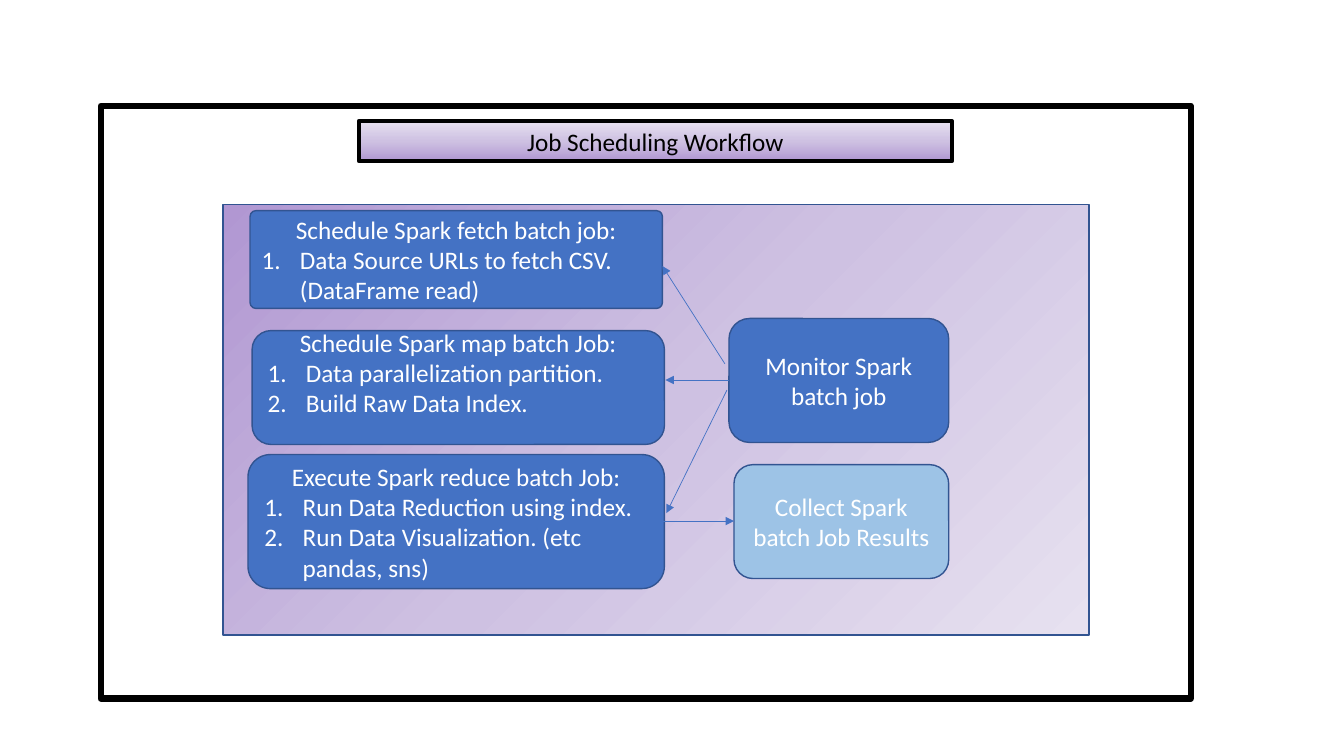
import pptx
import pptx.util
import pptx.oxml
import pptx.oxml.ns
import pptx.dml.color
import pptx.enum.shapes
import pptx.enum.text
from pptx.util import Inches

SHAPE = pptx.enum.shapes.MSO_SHAPE
ALIGN = pptx.enum.text.PP_ALIGN
ANCHOR = pptx.enum.text.MSO_ANCHOR
NS = pptx.oxml.ns.nsdecls("a")

BLACK, WHITE = "000000", "FFFFFF"
BLUE, PALE_BLUE, OUTLINE = "4472C4", "9DC3E6", "325491"
LILAC = [(0, "B197D2"), (50, "CEC1E2"), (100, "E7E1F0")]


def rgb(value):
    return pptx.dml.color.RGBColor.from_string(value)


def xml(markup):
    return pptx.oxml.parse_xml(markup)


class Deck:
    font = {"name": "Calibri", "size": pptx.util.Pt(18)}

    def __init__(self, prs):
        self.s = prs.slides.add_slide(prs.slide_layouts[6])

    def box(self, kind, at, fill=None, line=OUTLINE, width=1, radius=None):
        sp = self.s.shapes.add_shape(kind, *[Inches(v) for v in at])
        sp.shadow.inherit = False
        if radius is not None:
            sp.adjustments[0] = radius
        if fill:
            sp.fill.solid()
            sp.fill.fore_color.rgb = rgb(fill)
        else:
            sp.fill.background()
        sp.line.color.rgb = rgb(line)
        sp.line.width = pptx.util.Pt(width)
        return sp

    def gradient_box(self, at, angle, line=OUTLINE, width=1):
        sp = self.box(SHAPE.RECTANGLE, at, None, line, width)
        stops = "".join(
            f'<a:gs pos="{pos * 1000}"><a:srgbClr val="{color}"/></a:gs>'
            for pos, color in LILAC)
        plain = sp._element.spPr.find(pptx.oxml.ns.qn("a:noFill"))
        plain.getparent().replace(plain, xml(
            f'<a:gradFill {NS} rotWithShape="1"><a:gsLst>{stops}</a:gsLst>'
            f'<a:lin ang="{angle * 60000}" scaled="0"/></a:gradFill>'))
        return sp

    def text(self, sp, headings, items=(), color=WHITE, bottom=0.05):
        tf = sp.text_frame
        frame = {"word_wrap": True, "vertical_anchor": ANCHOR.MIDDLE,
                 "margin_bottom": Inches(bottom)}
        for key, value in frame.items():
            setattr(tf, key, value)
        for i, words in enumerate([*headings, *items]):
            p = tf.paragraphs[0] if i == 0 else tf.add_paragraph()
            r = p.add_run()
            r.text = words
            for key, value in self.font.items():
                setattr(r.font, key, value)
            r.font.color.rgb = rgb(color)
            if i < len(headings):
                p.alignment = ALIGN.CENTER
            else:
                self.number(p)

    def number(self, p):
        p.alignment = ALIGN.LEFT
        pPr = p._p.get_or_add_pPr()
        indent = Inches(0.38)
        pPr.set("marL", str(indent))
        pPr.set("indent", str(-indent))
        pPr.append(xml(f'<a:buFont {NS} typeface="+mj-lt"/>'))
        pPr.append(xml(f'<a:buAutoNum {NS} type="arabicPeriod"/>'))

    def arrow(self, start, end):
        c = self.s.shapes.add_connector(
            pptx.enum.shapes.MSO_CONNECTOR.STRAIGHT,
            *[Inches(v) for v in (*start, *end)])
        c.line.color.rgb = rgb(BLUE)
        c.line.width = pptx.util.Pt(0.5)
        c.line._get_or_add_ln().append(xml(f'<a:tailEnd {NS} type="triangle"/>'))
        c._element.spPr.append(xml(f"<a:effectLst {NS}/>"))


prs = pptx.Presentation()
prs.slide_width, prs.slide_height = Inches(13.33), Inches(7.5)
deck = Deck(prs)

deck.box(SHAPE.RECTANGLE, (1, 1.05, 10.81, 5.88), line=BLACK, width=4.5)
deck.gradient_box((2.21, 2.03, 8.59, 4.27), 45)

steps = [
    ((2.48, 2.09, 4.09, 0.97), BLUE, 0.06, 0.05,
     ["Schedule Spark fetch batch job:"],
     ["Data Source URLs to fetch CSV. (DataFrame read)"]),
    ((7.23, 3.16, 2.18, 1.23), BLUE, None, 0.05,
     ["Monitor Spark", "batch job"], []),
    ((2.5, 3.28, 4.09, 1.13), BLUE, None, 0.35,
     ["Schedule Spark map batch Job:"],
     ["Data parallelization partition.", "Build Raw Data Index."]),
    ((2.46, 4.51, 4.13, 1.33), BLUE, None, 0.05,
     ["Execute Spark reduce batch Job:"],
     ["Run Data Reduction using index.",
      "Run Data Visualization. (etc pandas, sns)"]),
    ((7.28, 4.61, 2.13, 1.13), PALE_BLUE, None, 0.05,
     ["Collect Spark batch Job Results"], []),
]
for at, fill, radius, bottom, headings, items in steps:
    step = deck.box(SHAPE.ROUNDED_RECTANGLE, at, fill, radius=radius)
    deck.text(step, headings, items, bottom=bottom)

title = deck.gradient_box((3.56, 1.2, 5.88, 0.4), 270, BLACK, 3)
deck.text(title, ["Job Scheduling Workflow"], color=BLACK)

for start, end in [
    ((7.19, 3.61), (6.57, 2.64)),
    ((7.23, 3.77), (6.6, 3.77)),
    ((7.21, 3.87), (6.61, 5.09)),
    ((6.57, 5.17), (7.28, 5.17)),
]:
    deck.arrow(start, end)

prs.save("out.pptx")
